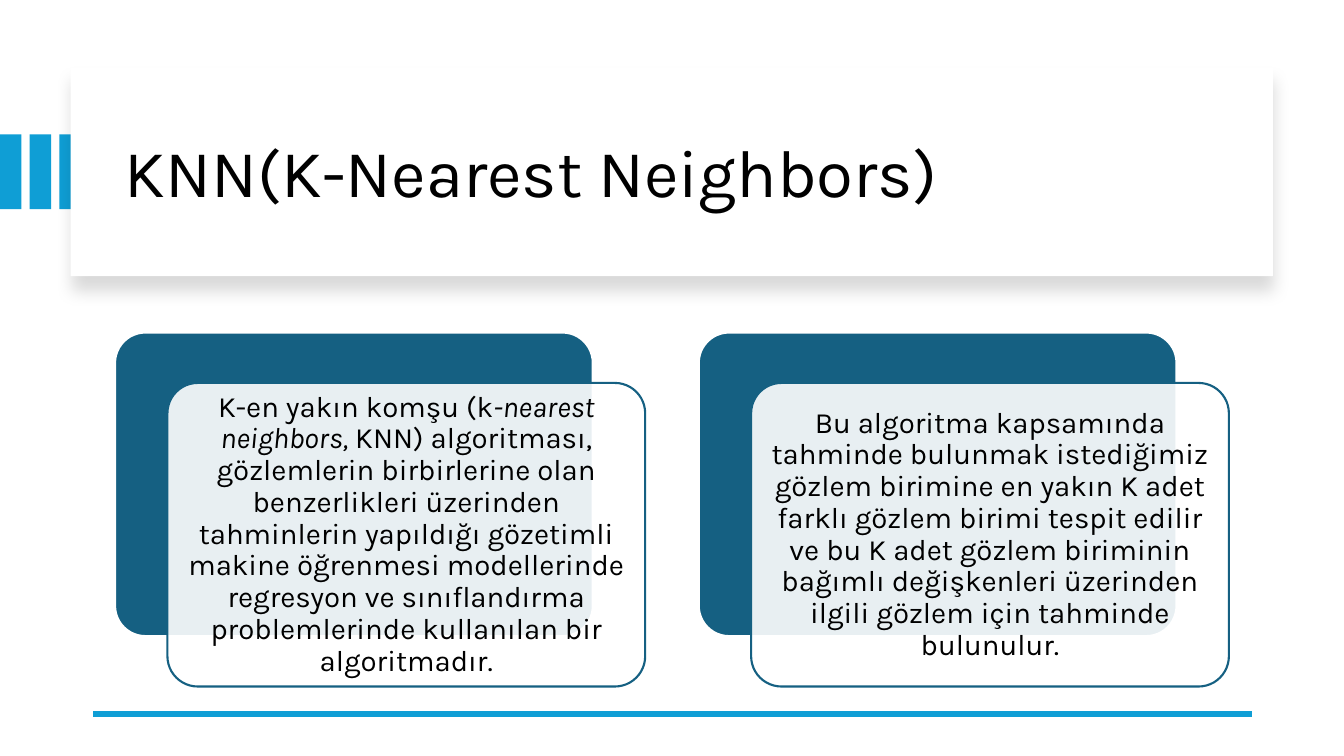
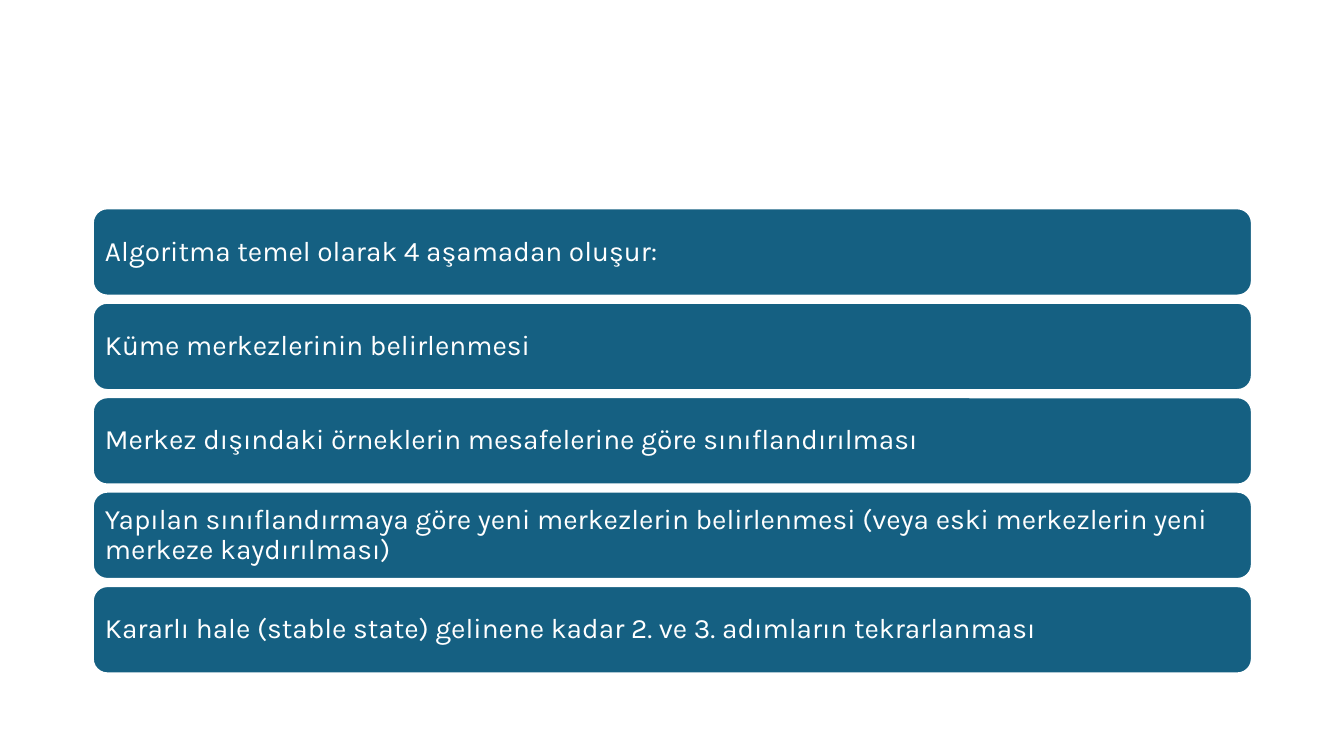
from lxml.etree import SubElement
from pptx import Presentation
from pptx.dml.color import RGBColor
from pptx.enum.shapes import MSO_CONNECTOR as Connector, MSO_SHAPE as Shape
from pptx.enum.text import MSO_ANCHOR as Anchor, MSO_AUTO_SIZE as AutoSize, PP_ALIGN as Align
from pptx.oxml.ns import qn
from pptx.util import Cm, Pt

FONT = "Karla"
BLACK, WHITE, NAVY, SKY = "000000", "FFFFFF", "156082", "0F9ED5"
TITLE_LAYOUT, BLANK_LAYOUT = 5, 6

CARDS = [
    [
        ("K-en yakın komşu (k", False),
        ("-nearest neighbors,", True),
        (" KNN) algoritması, gözlemlerin birbirlerine olan benzerlikleri üzerinden "
         "tahminlerin yapıldığı gözetimli makine öğrenmesi modellerinde regresyon "
         "ve sınıflandırma problemlerinde kullanılan bir algoritmadır.", False),
    ],
    [
        ("Bu algoritma kapsamında tahminde bulunmak istediğimiz gözlem birimine en yakın "
         "K adet farklı gözlem birimi tespit edilir ve bu K adet gözlem biriminin bağımlı "
         "değişkenleri üzerinden ilgili gözlem için tahminde bulunulur.", False),
    ],
]

STEPS = [
    "Algoritma temel olarak 4 aşamadan oluşur:",
    "Küme merkezlerinin belirlenmesi",
    "Merkez dışındaki örneklerin mesafelerine göre sınıflandırılması",
    "Yapılan sınıflandırmaya göre yeni merkezlerin belirlenmesi "
    "(veya eski merkezlerin yeni merkeze kaydırılması)",
    "Kararlı hale (stable state) gelinene kadar 2. ve 3. adımların tekrarlanması",
]


def color(value):
    """Turn a hex string into a colour."""
    return RGBColor.from_string(value)


def apply(target, values):
    """Set every attribute named in a dict of values."""
    for name, value in values.items():
        setattr(target, name, value)


def add_box(page, kind, left, top, width, height, fill, line=None):
    """Add a filled shape without a shadow, measured in centimetres."""
    box = page.shapes.add_shape(kind, Cm(left), Cm(top), Cm(width), Cm(height))
    box.fill.solid()
    box.fill.fore_color.rgb = color(fill)
    if line:
        box.line.color.rgb = color(line)
        box.line.width = Pt(1.5)
    else:
        box.line.fill.background()
    box.shadow.inherit = False
    return box


def set_alpha(box, percent):
    """Make the fill of a shape partly transparent."""
    shade = box.element.spPr.find(qn("a:solidFill")).find(qn("a:srgbClr"))
    SubElement(shade, qn("a:alpha"), val=str(percent * 1000))


def add_shadow(box):
    """Drop a soft shadow below a shape."""
    effects = box.element.spPr.find(qn("a:effectLst"))
    shadow = SubElement(effects, qn("a:outerShdw"), blurRad=str(Pt(11)), dist=str(Pt(10)),
                        dir="5400000", algn="t", rotWithShape="0")
    shade = SubElement(shadow, qn("a:srgbClr"), val=BLACK)
    SubElement(shade, qn("a:alpha"), val="15000")


def write(box, spans, size, ink, align=Align.LEFT, inset=0.25):
    """Write one paragraph of (text, italic) spans in the middle of a shape."""
    frame = box.text_frame
    margins = {f"margin_{side}": Cm(inset) for side in ("left", "top", "right", "bottom")}
    apply(frame, {"word_wrap": True, "auto_size": AutoSize.NONE,
                  "vertical_anchor": Anchor.MIDDLE, **margins})
    para = frame.paragraphs[0]
    apply(para, {"alignment": align, "line_spacing": 0.9})
    for text, italic in spans:
        span = para.add_run()
        span.text = text
        apply(span.font, {"name": FONT, "size": Pt(size), "italic": italic})
        span.font.color.rgb = color(ink)


def add_heading(page, text):
    """Add the stripes, the raised panel and the title."""
    for index in range(3):
        add_box(page, Shape.RECTANGLE, index * 0.75, 3.39, 0.54, 1.88, SKY)
    panel = add_box(page, Shape.RECTANGLE, 1.78, 1.7, 30.3, 5.26, WHITE)
    add_shadow(panel)
    title = page.shapes.title
    apply(title, {"left": Cm(2.9), "top": Cm(2.26), "width": Cm(28.27), "height": Cm(4.32)})
    write(title, [(text, False)], 48, BLACK)
    page.shapes._spTree.append(title.element)


def add_rule(page):
    """Add the line along the foot of the page."""
    rule = page.shapes.add_connector(Connector.STRAIGHT, Cm(31.55), Cm(18), Cm(2.34), Cm(18))
    rule.line.color.rgb = color(SKY)
    rule.line.width = Pt(4.5)
    SubElement(rule.element.spPr, qn("a:effectLst"))


def add_card(page, left, spans):
    """Add a dark card with a translucent text card in front of it."""
    top, width, height = 8.38, 12.04, 7.65
    back = add_box(page, Shape.ROUNDED_RECTANGLE, left, top, width, height, NAVY, WHITE)
    front = add_box(page, Shape.ROUNDED_RECTANGLE, left + 1.32, top + 1.27,
                    width, height, WHITE, NAVY)
    for card in (back, front):
        card.adjustments[0] = 0.1
    set_alpha(front, 90)
    write(front, spans, 21, BLACK, Align.CENTER, 0.22)


def add_step(page, top, text):
    """Add one step as a full-width rounded bar."""
    bar = add_box(page, Shape.ROUNDED_RECTANGLE, 2.34, top, 29.21, 2.2, NAVY, WHITE)
    write(bar, [(text, False)], 20, WHITE, inset=0.2)


def main():
    """Build and save the deck."""
    deck = Presentation()
    apply(deck, {"slide_width": Cm(33.87), "slide_height": Cm(19.05)})

    page = deck.slides.add_slide(deck.slide_layouts[TITLE_LAYOUT])
    add_heading(page, "KNN(K-Nearest Neighbors)")
    add_rule(page)
    for index, spans in enumerate(CARDS):
        add_card(page, 2.9 + index * 14.71, spans)

    page = deck.slides.add_slide(deck.slide_layouts[BLANK_LAYOUT])
    for index, text in enumerate(STEPS):
        add_step(page, 5.25 + index * 2.38, text)

    deck.save("out.pptx")


if __name__ == "__main__":
    main()
